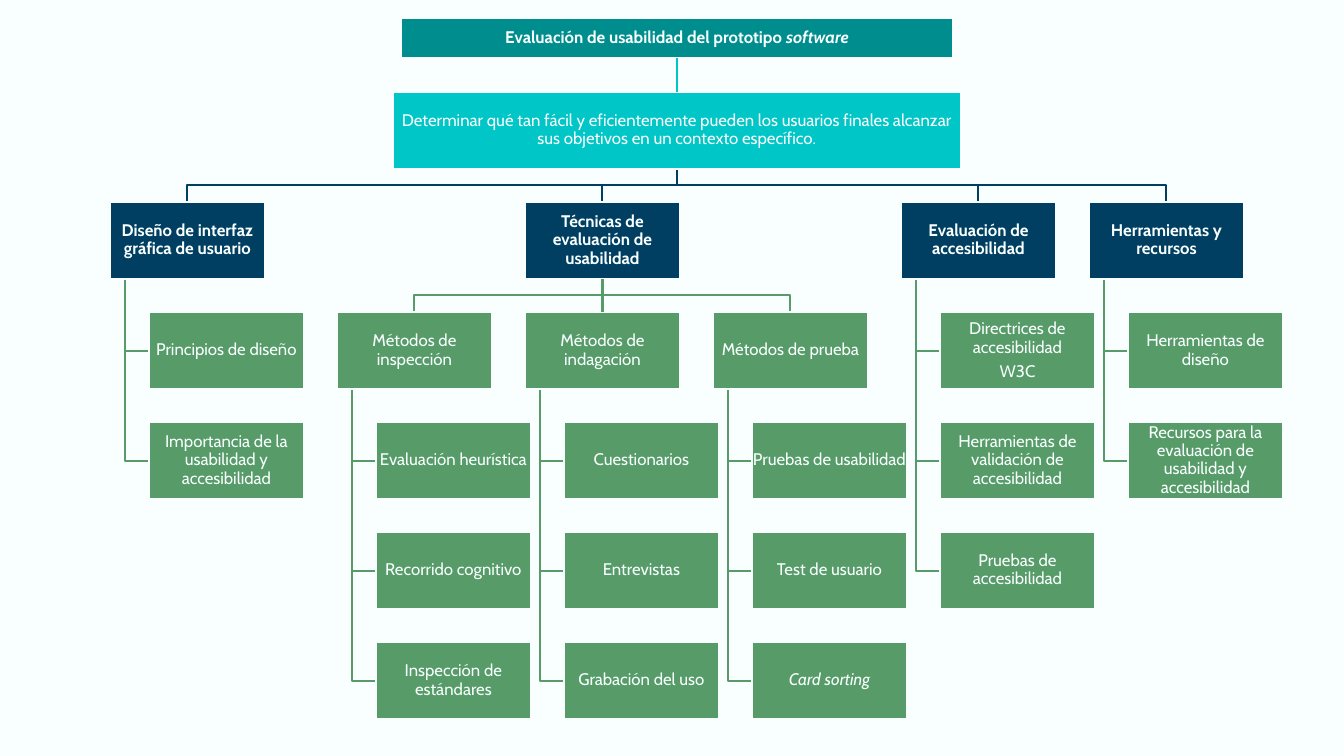
from lxml import etree
from pptx import Presentation
from pptx import util as u
from pptx.dml.color import RGBColor
from pptx.enum import shapes, text
from pptx.oxml import ns

PX = 9071  # EMU per px, 100.8 px to the inch
PALE, TEAL, CYAN, NAVY, GREEN = "F8FFFE", "008D8E", "00C6C7", "003F62", "569B68"
color = RGBColor.from_string

BOX_W, BOX_H = 155, 77
MID_X, MID_Y = 77, 39
FIRST_ROW, ROW_STEP = 202, 110
INDENT, STEM = 39, 15
OBJECTIVE_BOTTOM, CENTER = 169, 677


def fill_box(box, left, top, width, height, fill, words, bold=False):
    """Place and style a box; asterisks in words switch italics, newlines split paragraphs."""
    box.left, box.top, box.width, box.height = (n * PX for n in (left, top, width, height))
    box.fill.solid()
    box.fill.fore_color.rgb = color(fill)
    box.line.color.rgb = color(PALE)
    box.line.width = u.Pt(1.5)
    frame = box.text_frame
    frame.word_wrap = True
    frame.auto_size = text.MSO_AUTO_SIZE.NONE
    frame.vertical_anchor = text.MSO_ANCHOR.MIDDLE
    frame.margin_left = frame.margin_right = 0
    frame.margin_top = frame.margin_bottom = PX
    for number, line in enumerate(words.split("\n")):
        para = frame.add_paragraph() if number else frame.paragraphs[0]
        para.alignment = text.PP_ALIGN.CENTER
        para.line_spacing = 0.9
        para.space_before = 0
        para.space_after = u.Pt(4.2)
        for part, piece in enumerate(line.split("*")):
            if piece:
                span = para.add_run()
                span.text = piece
                span.font.name = "Cabin"
                span.font.size = u.Pt(12)
                span.font.bold = bold
                span.font.italic = part % 2 == 1
                span.font.color.rgb = color(PALE)
    return box


def draw_branch(page, points, stroke):
    builder = page.shapes.build_freeform(*points[0], scale=PX)
    builder.add_line_segments(points[1:], close=False)
    branch = builder.convert_to_shape()
    branch.shadow.inherit = False
    branch.fill.background()
    branch.line.color.rgb = color(stroke)
    branch.line.width = u.Pt(1.5)


deck = Presentation()
deck.slide_width, deck.slide_height = 1344 * PX, 756 * PX
page = deck.slides.add_slide(deck.slide_layouts[5])
page.background.fill.solid()
page.background.fill.fore_color.rgb = color(PALE)

title = fill_box(page.shapes.title, 401, 18, 552, 40, TEAL,
                 "Evaluación de usabilidad del prototipo *software*", bold=True)

# left, row, heading, boxes hanging below it
topics = [
    (110, 0, "Diseño de interfaz gráfica de usuario",
     ["Principios de diseño", "Importancia de la usabilidad y accesibilidad"]),
    (525, 0, "Técnicas de evaluación de usabilidad", []),
    (901, 0, "Evaluación de accesibilidad",
     ["Directrices de accesibilidad\nW3C", "Herramientas de validación de accesibilidad",
      "Pruebas de accesibilidad"]),
    (1089, 0, "Herramientas y recursos",
     ["Herramientas de diseño", "Recursos para la evaluación de usabilidad y accesibilidad"]),
    (337, 1, "Métodos de inspección",
     ["Evaluación heurística", "Recorrido cognitivo", "Inspección de estándares"]),
    (525, 1, "Métodos de indagación",
     ["Cuestionarios", "Entrevistas", "Grabación del uso"]),
    (713, 1, "Métodos de prueba",
     ["Pruebas de usabilidad", "Test de usuario", "*Card sorting*"]),
]
techniques_x = 525 + MID_X
boxes = {}

for left, row, heading, children in topics:
    top = FIRST_ROW + row * ROW_STEP
    center = left + MID_X
    if row == 0:
        parent_x, parent_y, stroke = CENTER, OBJECTIVE_BOTTOM, NAVY
    else:
        parent_x, parent_y, stroke = techniques_x, FIRST_ROW + BOX_H, GREEN
    if center != parent_x:
        bus_y = (parent_y + top) // 2
        draw_branch(page, [(parent_x, parent_y), (parent_x, bus_y),
                           (center, bus_y), (center, top)], stroke)

    for level, child in enumerate(children, start=1):
        child_top = top + level * ROW_STEP
        child_y = child_top + MID_Y
        draw_branch(page, [(left + STEM, top + BOX_H), (left + STEM, child_y),
                           (left + INDENT, child_y)], GREEN)
        box = page.shapes.add_shape(shapes.MSO_SHAPE.RECTANGLE, 0, 0, PX, PX)
        box.shadow.inherit = False
        fill_box(box, left + INDENT, child_top, BOX_W, BOX_H, GREEN, child)

    box = page.shapes.add_shape(shapes.MSO_SHAPE.RECTANGLE, 0, 0, PX, PX)
    box.shadow.inherit = False
    boxes[heading] = fill_box(box, left, top, BOX_W, BOX_H,
                              GREEN if row else NAVY, heading, bold=row == 0)

objective = page.shapes.add_shape(shapes.MSO_SHAPE.RECTANGLE, 0, 0, PX, PX)
objective.shadow.inherit = False
fill_box(objective, 393, 92, 568, BOX_H, CYAN,
         "Determinar qué tan fácil y eficientemente pueden los usuarios finales "
         "alcanzar sus objetivos en un contexto específico.")

for upper, lower, stroke in [
    (title, objective, CYAN),
    (boxes["Técnicas de evaluación de usabilidad"], boxes["Métodos de indagación"], GREEN),
]:
    link = page.shapes.add_connector(shapes.MSO_CONNECTOR.STRAIGHT, 0, 0, 0, 0)
    link.begin_connect(upper, 2)
    link.end_connect(lower, 0)
    link.line.color.rgb = color(stroke)
    link.line.width = u.Pt(1.5)
    etree.SubElement(link._element.spPr, ns.qn("a:effectLst"))

deck.save("out.pptx")
